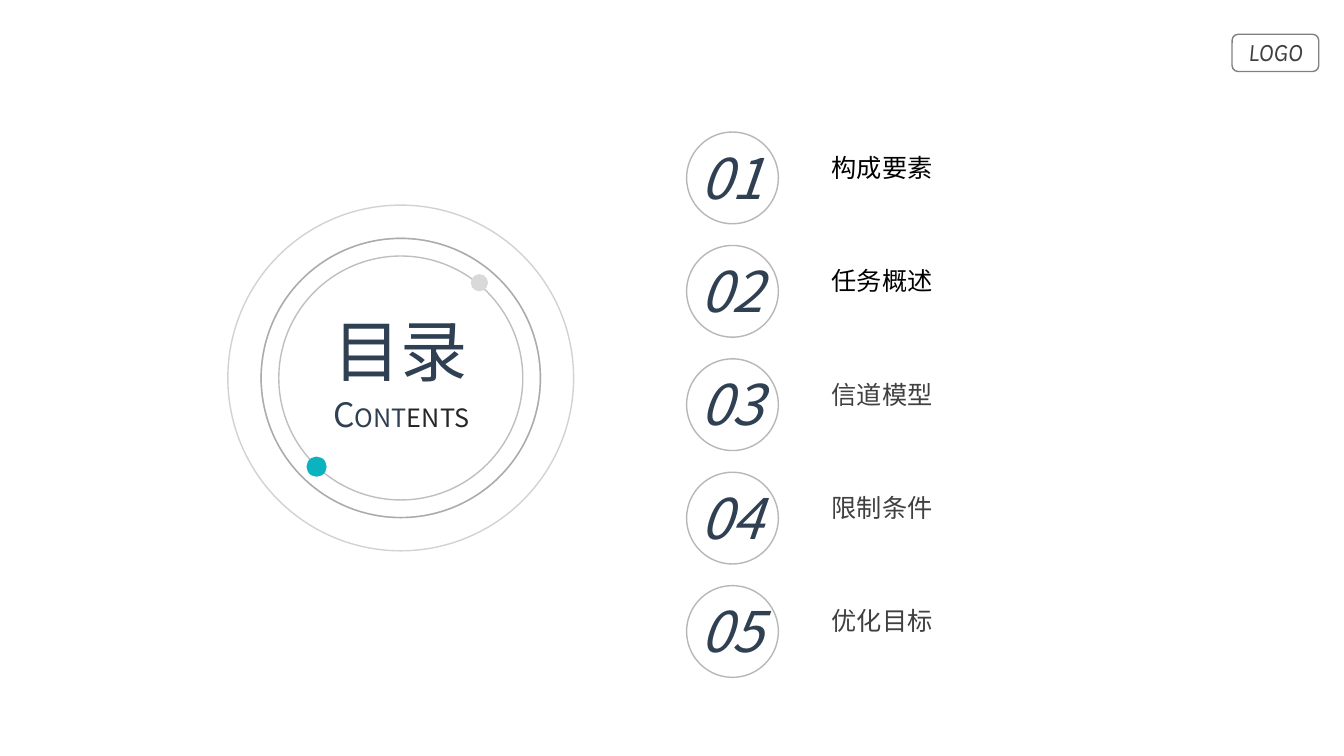
from dataclasses import dataclass

import pptx
import pptx.dml.color
import pptx.enum.shapes
import pptx.enum.text
import pptx.oxml.ns
import pptx.util
from lxml import etree

Inches = pptx.util.Inches
Pt = pptx.util.Pt
RGBColor = pptx.dml.color.RGBColor
Shape = pptx.enum.shapes.MSO_SHAPE
Align = pptx.enum.text.PP_ALIGN
Anchor = pptx.enum.text.MSO_ANCHOR
qn = pptx.oxml.ns.qn

NAVY = RGBColor(0x2E, 0x40, 0x52)
BLACK = RGBColor(0x00, 0x00, 0x00)
INK = RGBColor(0x26, 0x26, 0x26)
DARK = RGBColor(0x40, 0x40, 0x40)
GRAY = RGBColor(0x80, 0x80, 0x80)
RING_GRAY = RGBColor(0xA6, 0xA6, 0xA6)
SILVER = RGBColor(0xBF, 0xBF, 0xBF)
PALE = RGBColor(0xD9, 0xD9, 0xD9)
TEAL = RGBColor(0x0B, 0xB3, 0xC1)

CJK = "Noto Sans CJK SC"
LATIN = "Karla"

DIAL_X, DIAL_Y = 3.975, 3.75
ITEM_TOP, ITEM_PITCH = 1.31, 1.125
RING_LEFT, RING_SIZE = 6.81, 0.91


@dataclass(frozen=True)
class Box:
    left: float
    top: float
    width: float
    height: float


@dataclass(frozen=True)
class Style:
    size: float
    color: RGBColor
    font: str = CJK
    italic: bool = False
    align: Align = Align.LEFT
    wrap: bool = True


@dataclass(frozen=True)
class Ring:
    size: float
    color: RGBColor
    opacity: int = 100


@dataclass(frozen=True)
class Dot:
    box: Box
    color: RGBColor


@dataclass(frozen=True)
class Item:
    text: str
    color: RGBColor


@dataclass(frozen=True)
class Part:
    text: str
    size: float
    color: RGBColor


RINGS = [
    Ring(2.42, SILVER),
    Ring(2.77, RING_GRAY, 70),
    Ring(2.77, RING_GRAY, 80),
    Ring(3.43, RING_GRAY, 50),
]
DOTS = [
    Dot(Box(3.04, 4.53, 0.2, 0.2), TEAL),
    Dot(Box(4.67, 2.72, 0.17, 0.17), PALE),
]
ITEMS = [
    Item("构成要素", BLACK),
    Item("任务概述", BLACK),
    Item("信道模型", DARK),
    Item("限制条件", DARK),
    Item("优化目标", DARK),
]
SUBTITLE = [Part("C", 24, NAVY), Part("ONT", 18, NAVY), Part("ENTS", 18, INK)]


def place(sp, box: Box) -> None:
    sp.left, sp.top = Inches(box.left), Inches(box.top)
    sp.width, sp.height = Inches(box.width), Inches(box.height)


def format_paragraph(p, style: Style) -> None:
    p.alignment = style.align
    p.font.size = Pt(style.size)
    p.font.italic = style.italic
    p.font.color.rgb = style.color
    p.font.name = style.font
    props = p.font._element if hasattr(p.font, "_element") else p.font._rPr
    etree.SubElement(props, qn("a:ea")).set("typeface", style.font)


def add_text(slide, box: Box, text: str, style: Style):
    sp = slide.shapes.add_textbox(0, 0, 0, 0)
    place(sp, box)
    tf = sp.text_frame
    tf.word_wrap = style.wrap
    p = tf.paragraphs[0]
    p.text = text
    format_paragraph(p, style)
    return p


def add_outline(slide, kind: Shape, box: Box, color: RGBColor, opacity: int = 100) -> None:
    sp = slide.shapes.add_shape(kind, 0, 0, 0, 0)
    place(sp, box)
    sp.shadow.inherit = False
    sp.fill.background()
    sp.line.color.rgb = color
    sp.line.width = Pt(1)
    if opacity < 100:
        clr = sp.line._ln.find(".//" + qn("a:srgbClr"))
        etree.SubElement(clr, qn("a:alpha")).set("val", str(opacity * 1000))


def add_dot(slide, dot: Dot) -> None:
    sp = slide.shapes.add_shape(Shape.OVAL, 0, 0, 0, 0)
    place(sp, dot.box)
    sp.shadow.inherit = False
    sp.fill.solid()
    sp.fill.fore_color.rgb = dot.color
    sp.line.fill.background()


def add_badge(slide) -> None:
    add_outline(slide, Shape.ROUNDED_RECTANGLE, Box(12.22, 0.34, 0.86, 0.37), GRAY)
    style = Style(18, DARK, LATIN, italic=True, align=Align.CENTER)
    add_text(slide, Box(12.13, 0.31, 1.04, 0.4), "LOGO", style)


def add_dial(slide) -> None:
    for ring in RINGS:
        half = ring.size / 2
        box = Box(DIAL_X - half, DIAL_Y - half, ring.size, ring.size)
        add_outline(slide, Shape.OVAL, box, ring.color, ring.opacity)
    for dot in DOTS:
        add_dot(slide, dot)

    title = slide.shapes.title
    place(title, Box(2.84, 3.02, 2.27, 0.91))
    tf = title.text_frame
    tf.text = "目录"
    tf.auto_size = pptx.enum.text.MSO_AUTO_SIZE.NONE
    tf.vertical_anchor = Anchor.TOP
    format_paragraph(tf.paragraphs[0], Style(48, NAVY, align=Align.CENTER))

    style = Style(18, NAVY, align=Align.CENTER, wrap=False)
    p = add_text(slide, Box(3.17, 3.86, 1.62, 0.5), "", style)
    for part in SUBTITLE:
        r = p.add_run()
        r.text = part.text
        r.font.size = Pt(part.size)
        r.font.color.rgb = part.color


def add_item(slide, index: int, item: Item) -> None:
    top = ITEM_TOP + index * ITEM_PITCH
    number = Style(40, NAVY, italic=True, wrap=False)
    add_text(slide, Box(8.15, top + 0.15, 1.83, 0.4), item.text, Style(18, item.color))
    add_text(slide, Box(6.85, top + 0.06, 0.86, 0.77), f"{index + 1:02d}", number)
    add_outline(slide, Shape.OVAL, Box(RING_LEFT, top, RING_SIZE, RING_SIZE), RING_GRAY, 80)


def main() -> None:
    prs = pptx.Presentation()
    prs.slide_width, prs.slide_height = Inches(13.33), Inches(7.5)
    slide = prs.slides.add_slide(prs.slide_layouts.get_by_name("Title Only"))
    add_badge(slide)
    add_dial(slide)
    for index, item in enumerate(ITEMS):
        add_item(slide, index, item)
    prs.save("out.pptx")


if __name__ == "__main__":
    main()
